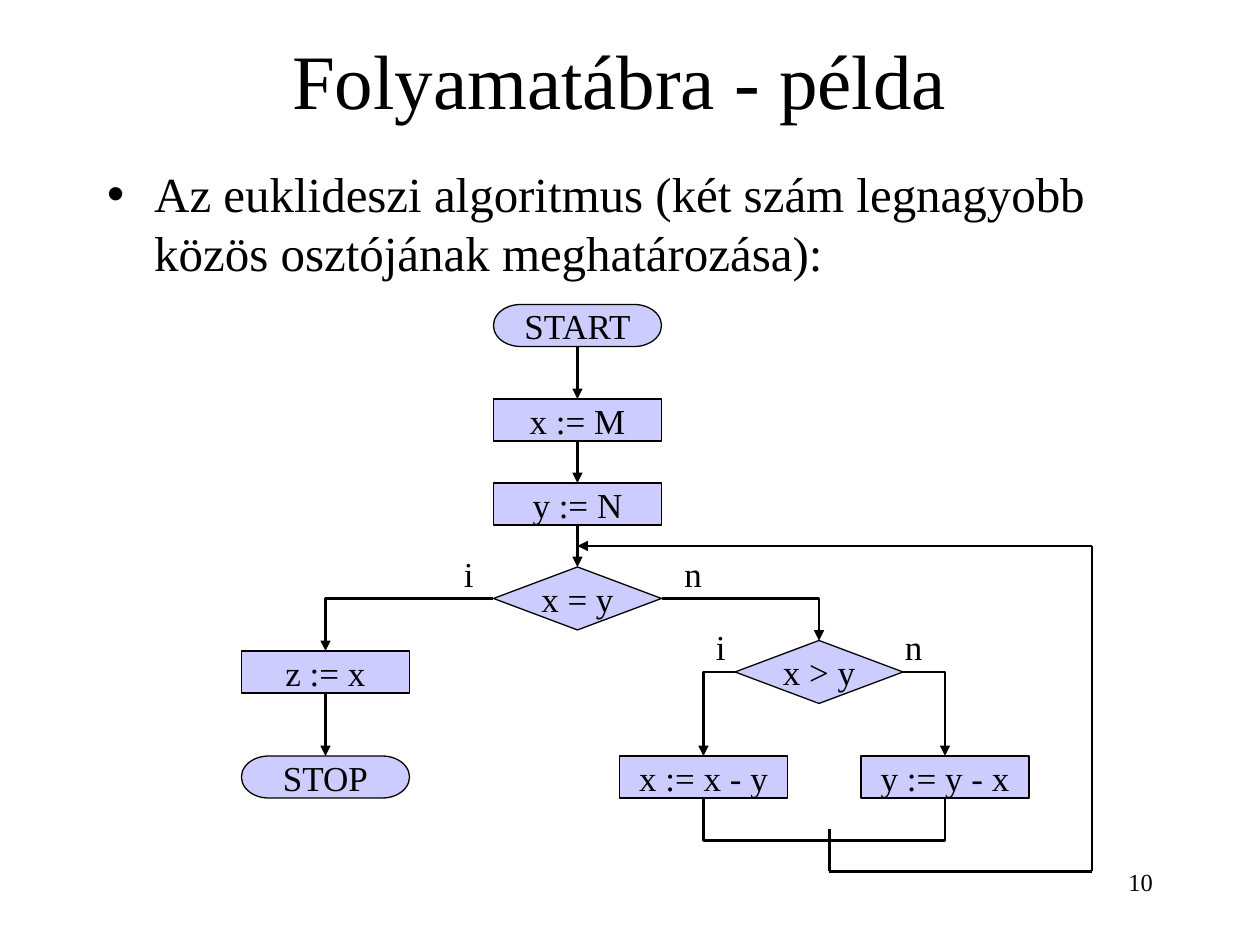
from lxml import etree
from pptx import Presentation
from pptx.dml.color import RGBColor
from pptx.enum.shapes import MSO_CONNECTOR as Link, MSO_SHAPE as Shape
from pptx.enum.text import MSO_ANCHOR as Anchor, MSO_AUTO_SIZE as AutoSize, PP_ALIGN as Align
from pptx.oxml.ns import qn
from pptx.util import Cm, Pt

COLORS = {"ink": "000000", "node": "CCCCFF"}
TOP, LEFT, BOTTOM, RIGHT = range(4)


def color(name):
    return RGBColor.from_string(COLORS[name])


def grid(*steps):
    return [Cm(step * 2.54 / 12) for step in steps]


class Flowchart:
    font_name = "Times New Roman"
    node_size = 20
    node_width = 16

    def __init__(self, slide):
        self.slide = slide

    def add_text(self, shape, text, size, align=Align.LEFT, anchor=Anchor.TOP, wrap=True):
        frame = shape.text_frame
        frame.auto_size = AutoSize.NONE
        frame.word_wrap = wrap
        frame.vertical_anchor = anchor
        paragraph = frame.paragraphs[0]
        paragraph.alignment = align
        run = paragraph.add_run()
        run.text = text
        run.font.size = Pt(size)
        run.font.name = self.font_name
        run.font.color.rgb = color("ink")
        return paragraph

    def place(self, shape, left, top, width, height):
        shape.left, shape.top, shape.width, shape.height = grid(left, top, width, height)

    def title(self, text):
        shape = self.slide.shapes.title
        self.place(shape, 8, 0, 102, 15)
        self.add_text(shape, text, 44, Align.CENTER, Anchor.MIDDLE)

    def body(self, text):
        shape = self.slide.placeholders[1]
        self.place(shape, 9, 15, 102, 65)
        paragraph = self.add_text(shape, text, 28)
        properties = paragraph._p.get_or_add_pPr()
        indent = Cm(0.95)
        properties.set("marL", str(indent))
        properties.set("indent", str(-indent))
        etree.SubElement(properties, qn("a:buChar"), char="•")
        paragraph.space_before = Pt(7)

    def page_number(self, text):
        box = self.slide.shapes.add_textbox(*grid(86, 82, 25, 6))
        self.add_text(box, text, 14, Align.RIGHT)

    def label(self, text, left, top):
        box = self.slide.shapes.add_textbox(*grid(left, top, 3.5, 5.25))
        self.add_text(box, text, self.node_size, wrap=False)
        box.text_frame.auto_size = AutoSize.SHAPE_TO_FIT_TEXT

    def node(self, kind, text, left, top):
        height = 6 if kind == Shape.FLOWCHART_DECISION else 4
        shape = self.slide.shapes.add_shape(kind, *grid(left, top, self.node_width, height))
        shape.shadow.inherit = False
        shape.fill.solid()
        shape.fill.fore_color.rgb = color("node")
        shape.line.color.rgb = color("ink")
        shape.line.width = Pt(0.75)
        self.add_text(shape, text, self.node_size, Align.CENTER, Anchor.MIDDLE, wrap=False)
        return shape

    def line(self, start=(0, 0), end=(0, 0), kind=Link.STRAIGHT, arrow=False):
        connector = self.slide.shapes.add_connector(kind, *grid(*start, *end))
        connector.line.color.rgb = color("ink")
        connector.line.width = Pt(1.5)
        if arrow:
            etree.SubElement(connector.line._get_or_add_ln(), qn("a:tailEnd"), type="triangle")
        etree.SubElement(connector._element.spPr, qn("a:effectLst"))
        return connector

    def flow(self, source, target):
        connector = self.line(arrow=True)
        connector.begin_connect(source, BOTTOM)
        connector.end_connect(target, TOP)

    def branch(self, source, side, target):
        connector = self.line(kind=Link.ELBOW, arrow=True)
        connector.begin_connect(source, side)
        connector.end_connect(target, TOP)
        connector._element.spPr.find(qn("a:prstGeom")).set("prst", "bentConnector2")

    def merge(self, first, second):
        connector = self.line(kind=Link.ELBOW)
        connector.begin_connect(first, BOTTOM)
        connector.end_connect(second, BOTTOM)
        ratio = 144
        span = second.left - first.left
        middle = first.left + first.width // 2 + span // 2
        bottom = first.top + first.height
        depth = grid(4)[0]
        connector.left, connector.top = middle, bottom - span // 2
        connector.width, connector.height = depth // ratio, span
        properties = connector._element.spPr
        frame = properties.find(qn("a:xfrm"))
        frame.set("rot", "16200000")
        frame.set("flipH", "1")
        geometry = properties.find(qn("a:prstGeom"))
        adjustments = geometry.find(qn("a:avLst"))
        if adjustments is None:
            adjustments = etree.SubElement(geometry, qn("a:avLst"))
        etree.SubElement(adjustments, qn("a:gd"), name="adj1", fmla=f"val {ratio * 100000}")


def main():
    presentation = Presentation()
    presentation.slide_width, presentation.slide_height = Cm(25.4), Cm(19.05)
    slide = presentation.slides.add_slide(presentation.slide_layouts[1])
    chart = Flowchart(slide)
    chart.page_number("10")
    chart.title("Folyamatábra - példa")
    chart.body("Az euklideszi algoritmus (két szám legnagyobb közös osztójának meghatározása):")

    start = chart.node(Shape.FLOWCHART_TERMINATOR, "START", 47, 29)
    stop = chart.node(Shape.FLOWCHART_TERMINATOR, "STOP", 23, 72)
    set_x = chart.node(Shape.RECTANGLE, "x := M", 47, 38)
    equal = chart.node(Shape.FLOWCHART_DECISION, "x = y", 47, 54)
    set_y = chart.node(Shape.RECTANGLE, "y := N", 47, 46)
    reduce_x = chart.node(Shape.RECTANGLE, "x := x - y", 59, 72)
    reduce_y = chart.node(Shape.RECTANGLE, "y := y - x", 82, 72)
    result = chart.node(Shape.RECTANGLE, "z := x", 23, 62)
    greater = chart.node(Shape.FLOWCHART_DECISION, "x > y", 70, 61)

    for source, target in [(start, set_x), (set_x, set_y), (set_y, equal), (result, stop)]:
        chart.flow(source, target)
    for source, side, target in [
        (equal, LEFT, result),
        (equal, RIGHT, greater),
        (greater, LEFT, reduce_x),
        (greater, RIGHT, reduce_y),
    ]:
        chart.branch(source, side, target)
    chart.merge(reduce_x, reduce_y)

    loop = [(79, 79), (79, 83), (104, 83), (104, 52), (55, 52)]
    for begin, end in zip(loop, loop[1:]):
        chart.line(begin, end, arrow=end == loop[-1])

    for text, left, top in [("i", 43, 52), ("i", 67, 59), ("n", 64, 52), ("n", 85, 59)]:
        chart.label(text, left, top)
    presentation.save("out.pptx")


if __name__ == "__main__":
    main()
